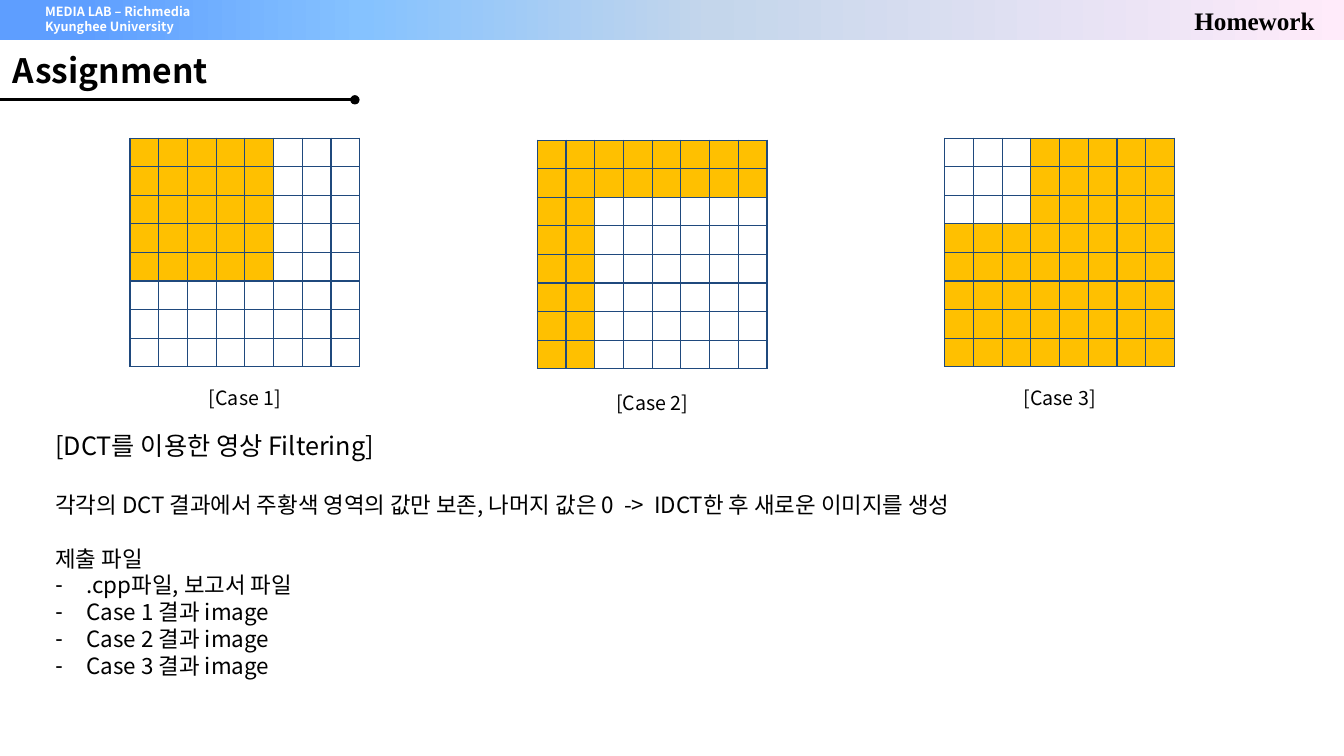
from lxml.etree import SubElement
from pptx import Presentation
from pptx.dml.color import RGBColor
from pptx.enum.shapes import MSO_CONNECTOR as Connector, MSO_SHAPE as Preset
from pptx.enum.text import MSO_ANCHOR as Anchor, MSO_AUTO_SIZE as AutoSize, PP_ALIGN as Align
from pptx.oxml.ns import qn
from pptx.util import Inches, Pt

SANS, SERIF = "Noto Sans CJK KR", "Times New Roman"
BLACK, WHITE, KEPT, GRID_LINE = "000000", "FFFFFF", "FFC000", "1F497D"
WIDTH, HEIGHT = 13.33, 7.5
BAND_STOPS = [(6, "5E9EFF"), (27, "85C2FF"), (53, "C4D6EB"), (100, "FFEBFA")]
LEADING = 1.2  # line pitch as a multiple of the text size

# Grids: 8 x 8 coefficients, repeated at an equal step across the slide
CELLS, GRID_LEFT, GRID_STEP, GRID_W, GRID_H = 8, 1.29, 4.04, 2.28, 2.27
CASES = [  # top, caption top, rule for the coefficients that are kept
    (1.37, 3.78, lambda row, col: row < 5 and col < 5),
    (1.39, 3.83, lambda row, col: row < 2 or col < 2),
    (1.37, 3.78, lambda row, col: row >= 3 or col >= 3),
]

# Task text: wording, size, space before, bulleted
TASK_LINES = [
    ("[DCT를 이용한 영상 Filtering]", 18, 0, False),
    ("각각의 DCT 결과에서 주황색 영역의 값만 보존, 나머지 값은 0  ->  IDCT한 후 새로운 이미지를 생성",
     16, 18 * LEADING, False),
    ("제출 파일", 16, 16 * LEADING, False),
    (".cpp파일, 보고서 파일", 16, 0, True),
    ("Case 1 결과 image", 16, 0, True),
    ("Case 2 결과 image", 16, 0, True),
    ("Case 3 결과 image", 16, 0, True),
]


def color(value):
    return RGBColor.from_string(value)


def place(shape, box):
    for side, length in zip(("left", "top", "width", "height"), box):
        setattr(shape, side, Inches(length))


def add_box(slide, box):
    frame = slide.shapes.add_textbox(*map(Inches, box)).text_frame
    frame.word_wrap = True
    return frame


def write(paragraph, text, size, ink=BLACK, face=SANS, bold=False, align=Align.LEFT, before=0):
    run = paragraph.add_run()
    run.text = text
    for key, value in {"size": Pt(size), "bold": bold, "name": face}.items():
        setattr(run.font, key, value)
    run.font.color.rgb = color(ink)
    SubElement(run.font._element, qn("a:ea"), typeface=face)
    spacing = {"alignment": align, "space_before": Pt(before), "space_after": Pt(0),
               "line_spacing": Pt(size * LEADING)}
    for key, value in spacing.items():
        setattr(paragraph, key, value)


def set_bullet(paragraph, bulleted):
    indent = Inches(0.31) if bulleted else 0
    props = paragraph._p.get_or_add_pPr()
    props.set("marL", str(indent))
    props.set("indent", str(-indent))
    if bulleted:
        SubElement(props, qn("a:buChar"), char="-")
    else:
        SubElement(props, qn("a:buNone"))


def next_paragraph(frame, index):
    return frame.add_paragraph() if index else frame.paragraphs[0]


def header(slide, box):
    left, top, width, height = box
    # Gradient band, placed behind the title
    band = slide.shapes.add_shape(Preset.RECTANGLE, *map(Inches, box))
    band.shadow.inherit = False
    band.line.fill.background()
    band.fill.gradient()
    band.fill.gradient_angle = 0
    stops = band._element.spPr.find(qn("a:gradFill")).find(qn("a:gsLst"))
    stops.clear()
    for percent, value in BAND_STOPS:
        stop = SubElement(stops, qn("a:gs"), pos=str(percent * 1000))
        SubElement(stop, qn("a:srgbClr"), val=value)
    slide.shapes._spTree.insert(2, band._element)

    # Lab name
    lab = add_box(slide, (left + 0.35, top - 0.01, 2.7, height))
    for index, line in enumerate(("MEDIA LAB – Richmedia", "Kyunghee University")):
        write(next_paragraph(lab, index), line, 9, WHITE, bold=True)

    # Slide title
    title = slide.shapes.title
    place(title, (left + 2.89, top + 0.05, width - 3.04, 0.31))
    frame = title.text_frame
    settings = {"vertical_anchor": Anchor.MIDDLE, "auto_size": AutoSize.NONE,
                "margin_top": 0, "margin_bottom": 0, "margin_right": Inches(0.14)}
    for key, value in settings.items():
        setattr(frame, key, value)
    write(frame.paragraphs[0], "Homework", 18, face=SERIF, bold=True, align=Align.RIGHT)
    frame.paragraphs[0].line_spacing = 1.0


def section_heading(slide, box):
    left, top, width, height = box
    write(add_box(slide, (left + 0.03, top, width, height)).paragraphs[0],
          "Assignment", 24, bold=True)
    # Underline with a round end
    y = Inches(top + height + 0.04)
    rule = slide.shapes.add_connector(Connector.STRAIGHT, Inches(left), y, Inches(left + 3.52), y)
    rule.line.color.rgb = color(BLACK)
    rule.line.width = Pt(2.25)
    SubElement(rule.line._get_or_add_ln(), qn("a:tailEnd"), type="oval")
    SubElement(rule._element.spPr, qn("a:effectLst"))


def format_cell(cell, fill):
    for side in ("left", "right", "top", "bottom"):
        setattr(cell, f"margin_{side}", 0)
    cell.text_frame.paragraphs[0]._p.get_or_add_endParaRPr().set("sz", "800")
    props = cell._tc.get_or_add_tcPr()
    for edge in ("a:lnL", "a:lnR", "a:lnT", "a:lnB"):
        border = SubElement(props, qn(edge), w=str(Pt(1)))
        SubElement(SubElement(border, qn("a:solidFill")), qn("a:srgbClr"), val=GRID_LINE)
    cell.fill.solid()
    cell.fill.fore_color.rgb = color(fill)


def case_grid(slide, box, caption, caption_top, is_kept):
    left, _, width, height = box
    grid = slide.shapes.add_table(CELLS, CELLS, *map(Inches, box)).table
    grid.first_row = grid.horz_banding = False
    for row in range(CELLS):
        grid.rows[row].height = Inches(height / CELLS)
        grid.columns[row].width = Inches(width / CELLS)
        for col in range(CELLS):
            format_cell(grid.cell(row, col), KEPT if is_kept(row, col) else WHITE)
    # Caption centred under the grid
    caption_width = 1.26
    label = add_box(slide, (left + (width - caption_width) / 2, caption_top, caption_width, 0.34))
    write(label.paragraphs[0], caption, 14, align=Align.CENTER)


def task(slide, box):
    body = slide.placeholders[1]
    place(body, box)
    frame = body.text_frame
    frame.auto_size = AutoSize.NONE
    for index, (text, size, before, bulleted) in enumerate(TASK_LINES):
        paragraph = next_paragraph(frame, index)
        write(paragraph, text, size, before=before)
        set_bullet(paragraph, bulleted)


def main():
    deck = Presentation()
    deck.slide_width, deck.slide_height = Inches(WIDTH), Inches(HEIGHT)
    slide = deck.slides.add_slide(deck.slide_layouts[1])
    header(slide, (0, 0, WIDTH, 0.4))
    section_heading(slide, (0, 0.45, 12.46, 0.5))
    for index, (top, caption_top, is_kept) in enumerate(CASES):
        box = (GRID_LEFT + index * GRID_STEP, top, GRID_W, GRID_H)
        case_grid(slide, box, f"[Case {index + 1}]", caption_top, is_kept)
    task(slide, (0.45, 4.22, 11.81, 2.59))
    deck.save("out.pptx")


if __name__ == "__main__":
    main()
